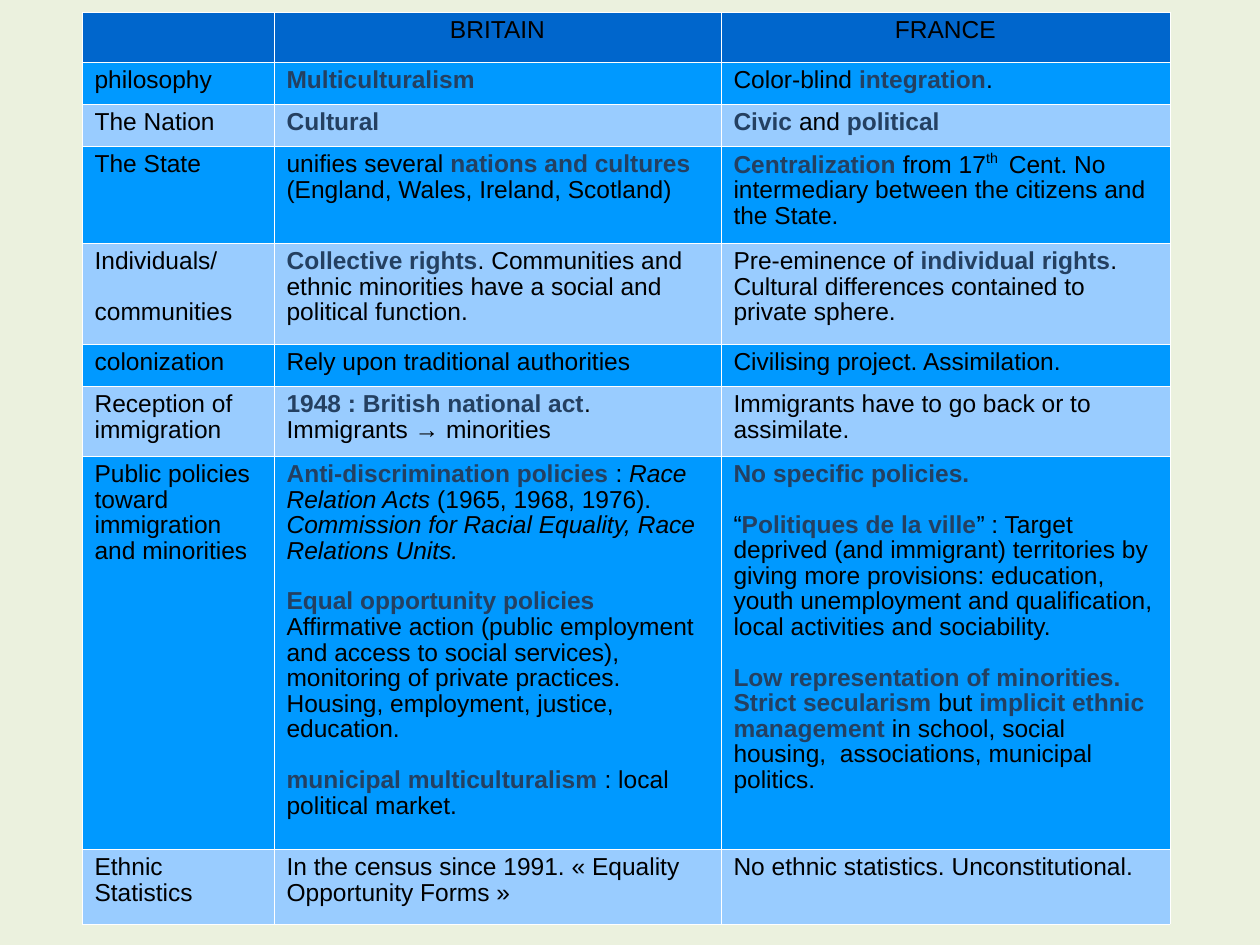
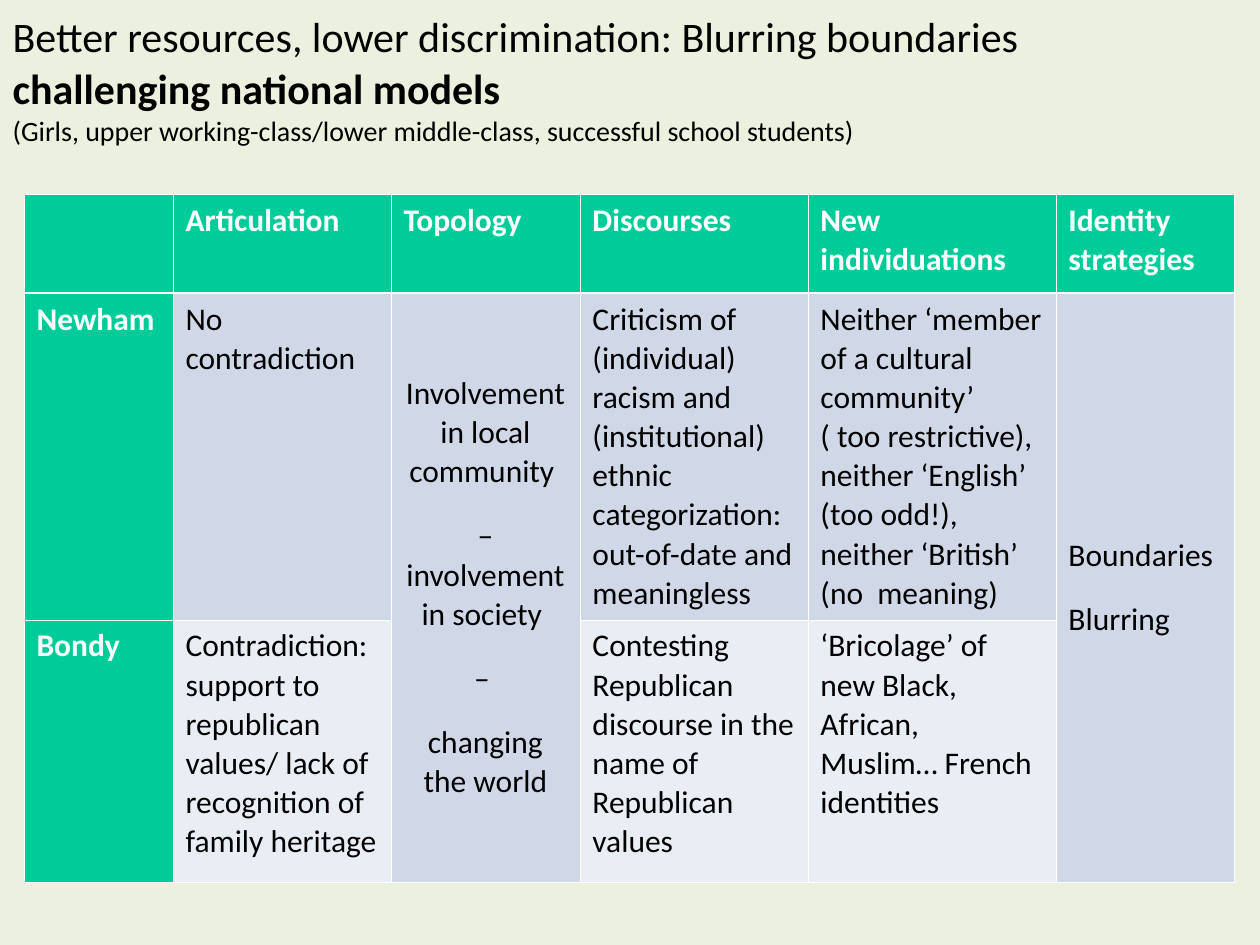
from pptx import Presentation, util as u
from pptx.dml.color import RGBColor
from pptx.enum import text as t
from pptx.oxml import parse_xml
from pptx.oxml.ns import nsdecls

PX = 914400 // 126  # one px in EMU
PAPER, INK, NAVY, WHITE = "EBF1DE", "000000", "244061", "FFFFFF"
HEAD, DEEP, PALE = "0066CC", "0099FF", "99CCFF"
GREEN, GREY, MIST = "00CC99", "D0D8E8", "E9EDF4"

# In texts: *strong*, _italic_, ^raised^, | line break, newline = new paragraph
MODELS = [
    ["", "BRITAIN", "FRANCE"],
    ["philosophy", "*Multiculturalism*", "Color-blind *integration*."],
    ["The Nation", "*Cultural*", "*Civic* and *political*"],
    ["The State",
     "unifies several* nations and cultures* (England, Wales, Ireland, Scotland)",
     "*Centralization* from 17^th ^ Cent. No intermediary between the citizens "
     "and the State."],
    ["Individuals/\ncommunities",
     "*Collective rights*. Communities and ethnic minorities have a social and "
     "political function.",
     "Pre-eminence of *individual rights*. Cultural differences contained to "
     "private sphere."],
    ["colonization", "Rely upon traditional authorities",
     "Civilising project. Assimilation."],
    ["Reception of  immigration",
     "*1948 : British national act*. Immigrants → minorities",
     "Immigrants have to go back or to assimilate."],
    ["Public policies toward immigration and minorities",
     "*Anti-discrimination policies *: _Race Relation Acts _(1965, 1968, 1976). "
     "_Commission for Racial Equality, Race Relations Units._\n"
     "*Equal opportunity policies* Affirmative action (public employment and "
     "access to social services), monitoring of private practices. Housing, "
     "employment, justice, education.\n"
     "*municipal multiculturalism* : local political market.",
     "*No specific policies.*\n"
     "“*Politiques de la ville*” : Target deprived (and immigrant) territories "
     "by giving more provisions: education, youth unemployment and "
     "qualification, local activities and sociability.\n"
     "*Low representation of minorities. Strict secularism* but *implicit ethnic "
     "management* in school, social housing,  associations, municipal politics."],
    ["Ethnic Statistics",
     "In the census since 1991. « Equality Opportunity Forms »",
     "No ethnic statistics. Unconstitutional."],
]

GIRLS = [
    ["", "*Articulation*", "*Topology*", "*Discourses*", "*New individuations*",
     "*Identity strategies*"],
    ["*Newham*", "No contradiction",
     "Involvement in local community \n– involvement in society \n– \n"
     "changing the world",
     "Criticism of (individual) racism and (institutional) ethnic "
     "categorization: out-of-date and meaningless",
     "Neither ‘member of a cultural community’|( too restrictive), neither "
     "‘English’ (too odd!), neither ‘British’ (no  meaning)",
     "Boundaries\nBlurring"],
    ["*Bondy*",
     "Contradiction: support to republican values/ lack of recognition of "
     "family heritage", "",
     "Contesting Republican discourse in the name of Republican values",
     "‘Bricolage’ of new Black, African, Muslim… French identities", ""],
]


def tint(code):
    return RGBColor.from_string(code)


def add_run(para, words, face, color, bold=False, slant=False, raised=False):
    run = para.add_run()
    run.text = words
    font = run.font
    font.name, font.bold, font.italic = face, bold, slant
    font.color.rgb = tint(color)
    if raised:
        run._r.get_or_add_rPr().set("baseline", "41000")


def write(para, marked, face, strong):
    """Turn marked text into runs; odd pieces between marks carry the style."""
    for b, part in enumerate(marked.split("*")):
        for i, piece in enumerate(part.split("_")):
            for s, bit in enumerate(piece.split("^")):
                for n, line in enumerate(bit.split("|")):
                    if n:
                        para.add_line_break()
                    if line:
                        add_run(para, line, face, strong if b % 2 else INK,
                                b % 2 == 1, i % 2 == 1, s % 2 == 1)


def fill_cell(cell, marked, face, size, strong, lead, align):
    frame = cell.text_frame
    for n, line in enumerate(marked.split("\n")):
        para = frame.add_paragraph() if n else frame.paragraphs[0]
        para.line_spacing, para.space_after = lead, u.Pt(14.3)
        para.alignment = align
        para.font.size = u.Pt(size)
        write(para, line, face, strong)


def edge(cell, **widths):
    """White borders; widths in points by side, in the order L, R, T, B."""
    props = cell._tc.get_or_add_tcPr()
    for side, width in widths.items():
        props.append(parse_xml(
            f'<a:ln{side} {nsdecls("a")} w="{u.Pt(width)}"><a:solidFill>'
            f'<a:srgbClr val="{WHITE}"/></a:solidFill></a:ln{side}>'))


def paint(cell, color):
    cell.fill.solid()
    cell.fill.fore_color.rgb = tint(color)


def add_grid(slide, xs, ys):
    """Table whose column and row lines lie at the given px."""
    frame = slide.shapes.add_table(
        len(ys) - 1, len(xs) - 1, xs[0] * PX, ys[0] * PX,
        (xs[-1] - xs[0]) * PX, (ys[-1] - ys[0]) * PX)
    table = frame.table
    table.first_row = table.horz_banding = False
    for col, a, b in zip(table.columns, xs, xs[1:]):
        col.width = (b - a) * PX
    for row, a, b in zip(table.rows, ys, ys[1:]):
        row.height = (b - a) * PX
    return table


def add_title(slide, marked, note):
    title = slide.shapes.title
    title.left, title.top, title.width, title.height = 0, 0, 1260 * PX, 157 * PX
    frame = title.text_frame
    frame.word_wrap = True
    frame.auto_size = t.MSO_AUTO_SIZE.NONE
    frame.vertical_anchor = t.MSO_ANCHOR.MIDDLE
    para = frame.paragraphs[0]
    para.alignment, para.line_spacing = t.PP_ALIGN.LEFT, 1.02
    para.font.size = u.Pt(24)
    write(para, marked + note, "Calibri", INK)
    para.runs[-1].font.size = u.Pt(16)


def models_slide(deck):
    slide = deck.slides.add_slide(deck.slide_layouts[6])
    table = add_grid(slide, [82, 274, 721, 1170],
                     [12, 62, 104, 146, 243, 344, 386, 456, 849, 924])
    for r, row in enumerate(MODELS):
        color = HEAD if r == 0 else DEEP if r % 2 else PALE
        align = t.PP_ALIGN.LEFT if r else t.PP_ALIGN.CENTER
        for c, words in enumerate(row):
            cell = table.cell(r, c)
            fill_cell(cell, words, "Arial", 14, NAVY, 0.93, align)
            edge(cell, L=0.06, R=0.06, T=0.06, B=0.06)
            paint(cell, color)


def girls_slide(deck):
    slide = deck.slides.add_slide(deck.slide_layouts[5])
    add_title(slide, "Better resources, lower discrimination: Blurring boundaries|"
              "*challenging national models|*",
              "(Girls, upper working-class/lower middle-class, successful "
              "school students)")
    table = add_grid(slide, [24, 173, 391, 580, 808, 1056, 1235],
                     [194, 293, 620, 882])
    # Columns that both towns share
    for c in (2, 5):
        table.cell(1, c).merge(table.cell(2, c))
        table.cell(1, c).vertical_anchor = t.MSO_ANCHOR.MIDDLE
    for r, row in enumerate(GIRLS):
        for c, words in enumerate(row):
            cell = table.cell(r, c)
            mid = (r, c) == (1, 2)
            align = t.PP_ALIGN.CENTER if mid else t.PP_ALIGN.LEFT
            if not cell.is_spanned:
                fill_cell(cell, words, "Calibri", 18, WHITE, 1.02, align)
            edge(cell, L=0.45, R=0.45, T=1.47 if r == 1 else 0.45,
                 B=0.45 if r else 1.47)
            paint(cell, GREEN if r == 0 or c == 0 else GREY if r == 1 else MIST)


def main():
    deck = Presentation()
    deck.slide_width, deck.slide_height = u.Inches(10), u.Inches(7.5)
    # Shared background
    back = deck.slide_master.background.fill
    back.solid()
    back.fore_color.rgb = tint(PAPER)
    models_slide(deck)
    girls_slide(deck)
    deck.save("out.pptx")


if __name__ == "__main__":
    main()
